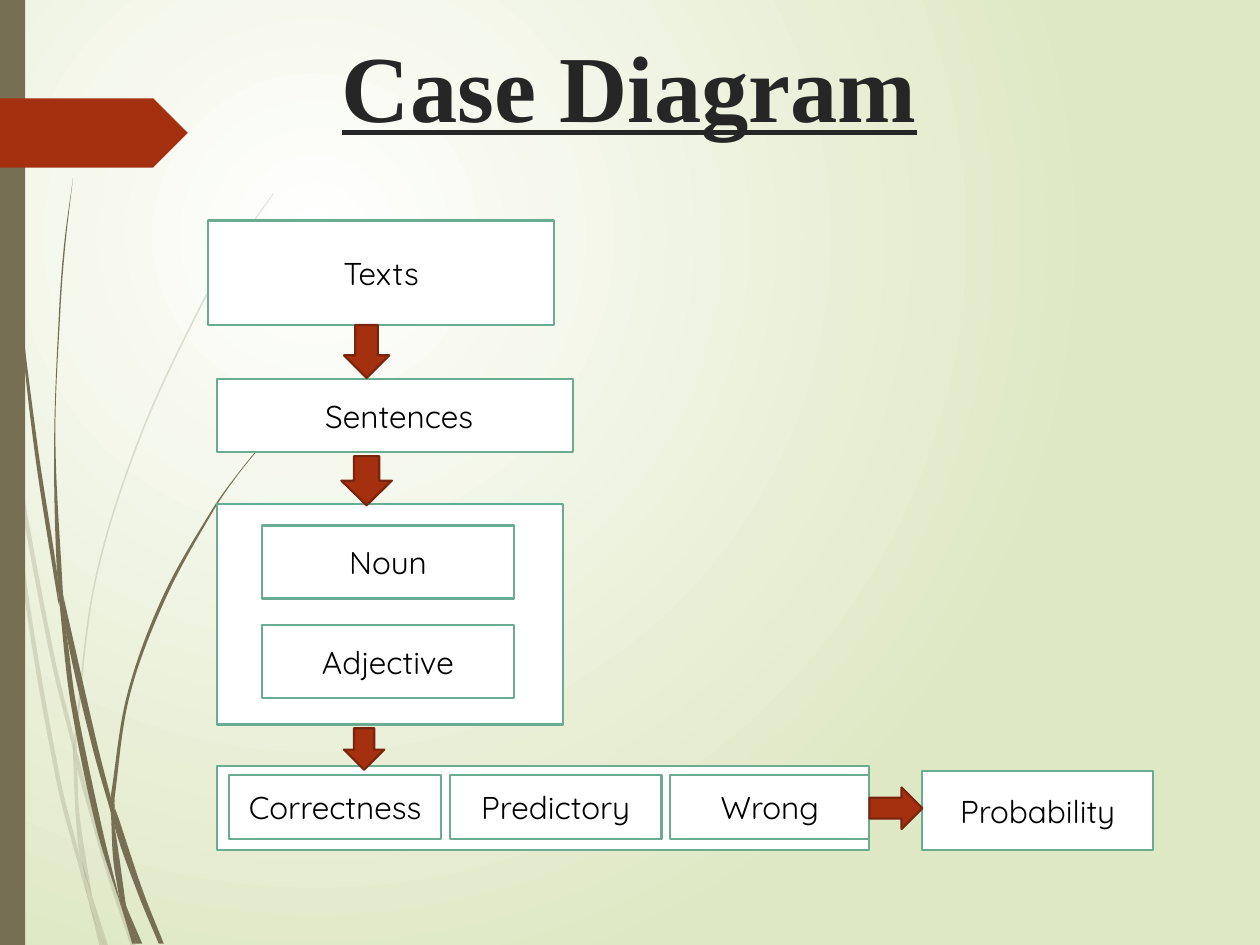
from dataclasses import dataclass
from math import dist

from lxml.etree import SubElement
from pptx import Presentation
from pptx.dml.color import RGBColor
from pptx.enum.shapes import MSO_SHAPE as Preset
from pptx.enum.text import MSO_ANCHOR as Anchor, PP_ALIGN as Align
from pptx.oxml.ns import qn
from pptx.util import Inches, Pt


@dataclass(frozen=True)
class Theme:
    paper: str = "FFFFFF"
    leaf: str = "DFE8C4"
    stem: str = "766F54"
    rust: str = "A53010"
    rust_edge: str = "7A240C"
    box_edge: str = "6AAC91"
    title_ink: str = "262626"
    ink: str = "000000"
    title_font: str = "Times New Roman"
    body_font: str = "Quicksand"
    title_size: int = 54
    body_size: int = 18
    line_width: float = 1.25


THEME = Theme()
WIDTH, HEIGHT = 10, 7.5
TITLE = "Case Diagram"

# Boxes and arrows: left, top, width, height in inches
FLOW_LEFT = 1.72
STEPS = [
    ("Texts", (1.65, 1.75, 2.75, 0.83)),
    (" Sentences", (FLOW_LEFT, 3.01, 2.83, 0.58)),
    ("", (FLOW_LEFT, 4, 2.75, 1.75)),
    ("", (FLOW_LEFT, 6.08, 5.18, 0.67)),
    ("Probability", (7.32, 6.12, 1.83, 0.63)),
]
WORD_CLASSES = ["Noun", "Adjective"]
OUTCOMES = ["Correctness", "Predictory", "Wrong"]
OUTCOMES_RIGHT = 6.9
ARROWS = [
    (Preset.DOWN_ARROW, (2.73, 2.58, 0.36, 0.42)),
    (Preset.DOWN_ARROW, (2.71, 3.62, 0.40, 0.39)),
    (Preset.DOWN_ARROW, (2.73, 5.78, 0.32, 0.33)),
    (Preset.RIGHT_ARROW, (OUTCOMES_RIGHT, 6.25, 0.42, 0.33)),
]

# Each blade of grass is a pair of edges, both running the same way
PALE_BLADES = [
    ([(0, 2.82), (0.06, 3.22), (0.08, 3.5)], [(0, 2.99), (0.07, 3.44), (0.08, 3.5)]),
    ([(0.1, 3.45), (0.43, 5.2), (0.59, 5.86)],
     [(0.12, 3.76), (0.4, 5.22), (0.59, 5.99)]),
    ([(0.61, 5.96), (0.64, 6.07), (0.88, 6.92), (1.08, 7.51)],
     [(0.61, 6.1), (0.85, 6.94), (1.04, 7.51)]),
    ([(0.73, 7.11), (0.86, 7.51)], [(0.73, 7.11), (0.83, 7.51)]),
    ([(0.08, 3.5), (0.12, 3.76), (0.22, 4.69), (0.48, 6.19), (0.64, 6.83), (0.7, 7.14)],
     [(0.08, 3.5), (0.19, 4.7), (0.45, 6.21), (0.64, 6.93), (0.7, 7.14)]),
    ([(0.58, 5.99), (0.61, 6.1), (0.63, 6.46), (0.73, 7.11)],
     [(0.58, 5.99), (0.6, 6.46), (0.64, 6.83), (0.73, 7.11)]),
    ([(2.17, 1.53), (1.86, 1.97), (1.58, 2.44), (1.1, 3.48), (0.75, 4.61), (0.59, 5.84)],
     [(2.17, 1.54), (1.87, 1.98), (1.59, 2.45), (1.11, 3.49), (0.76, 4.62),
      (0.61, 5.84), (0.61, 5.96)]),
    ([(0.7, 7.14), (0.82, 7.51)], [(0.7, 7.14), (0.79, 7.51)]),
    ([(0.59, 5.86), (0.61, 5.96), (0.61, 6.1)], [(0.59, 5.86), (0.58, 5.99), (0.61, 6.08)]),
    ([(0.65, 6.83), (0.73, 7.11), (0.83, 7.51)], [(0.65, 6.83), (0.7, 7.14), (0.82, 7.51)]),
]
DARK_BLADES = [
    ([(0.03, 0), (0.06, 1.09), (0.15, 2.32), (0.3, 3.55), (0.45, 4.53), (0.47, 4.81)],
     [(0.02, 0), (0.05, 1.1), (0.14, 2.33), (0.27, 3.55), (0.46, 4.77), (0.47, 4.81)]),
    ([(0.5, 4.72), (0.77, 5.9), (0.88, 6.33)],
     [(0.5, 4.72), (0.53, 5.05), (0.73, 5.92), (0.88, 6.45)]),
    ([(0.91, 6.41), (0.94, 6.49), (1.13, 7.06), (1.3, 7.49)],
     [(0.91, 6.41), (0.91, 6.56), (1.09, 7.08), (1.26, 7.49)]),
    ([(0.47, 4.77), (0.53, 5.05), (0.6, 5.56), (0.81, 6.57), (0.97, 7.22)],
     [(0.47, 4.77), (0.56, 5.57), (0.77, 6.59), (0.97, 7.22)]),
    ([(0.58, 1.41), (0.52, 1.93), (0.48, 2.45), (0.44, 3.49), (0.5, 4.72)],
     [(0.58, 1.41), (0.51, 1.93), (0.47, 2.45), (0.43, 3.49), (0.45, 4.49), (0.49, 4.72)]),
    ([(1, 7.19), (1.13, 7.49)], [(1, 7.19), (1.1, 7.49)]),
    ([(0.45, 4.49), (0.5, 4.72), (0.53, 5.05)], [(0.45, 4.49), (0.47, 4.77), (0.53, 5.05)]),
    ([(2.15, 3.44), (1.91, 3.73), (1.68, 4.05), (1.29, 4.74), (1.01, 5.51), (0.88, 6.31)],
     [(2.16, 3.44), (1.91, 3.74), (1.69, 4.06), (1.31, 4.76), (1.03, 5.52),
      (0.91, 6.33), (0.91, 6.41)]),
    ([(0.97, 7.22), (1.08, 7.49)], [(0.97, 7.22), (1.05, 7.49)]),
    ([(0.88, 6.45), (0.91, 6.56), (1, 7.19)], [(0.88, 6.45), (0.91, 6.91), (1, 7.19)]),
    ([(0.88, 6.31), (0.91, 6.41), (0.91, 6.56)], [(0.88, 6.31), (0.88, 6.45), (0.91, 6.56)]),
    ([(0.91, 6.91), (0.96, 7.06), (1.1, 7.49)], [(0.91, 6.91), (0.97, 7.22), (1.08, 7.49)]),
]


def rgb(color):
    return RGBColor.from_string(color)


def paint(shape, fill, edge=None):
    shape.shadow.inherit = False
    shape.fill.solid()
    shape.fill.fore_color.rgb = rgb(fill)
    if edge:
        shape.line.color.rgb = rgb(edge)
        shape.line.width = Pt(THEME.line_width)
    else:
        shape.line.fill.background()


def add_preset(slide, preset, place, fill, edge=None):
    shape = slide.shapes.add_shape(preset, *map(Inches, place))
    paint(shape, fill, edge)
    return shape


def style_text(paragraph, font_name, size, color):
    paragraph.alignment = Align.CENTER
    font = paragraph.runs[0].font
    font.name, font.size, font.color.rgb = font_name, Pt(size), rgb(color)
    return font


def add_box(slide, label, place):
    box = add_preset(slide, Preset.RECTANGLE, place, THEME.paper, THEME.box_edge)
    if label:
        box.text_frame.text = label
        box.text_frame.vertical_anchor = Anchor.MIDDLE
        style_text(box.text_frame.paragraphs[0], THEME.body_font, THEME.body_size, THEME.ink)


def bend(nodes):
    """Turn the straight segments between these outline nodes into smooth curves."""
    points = [(int(node[0].get("x")), int(node[0].get("y"))) for node in nodes]
    padded = [points[0], *points, points[-1]]
    for node, a, b, c, d in zip(nodes[1:], padded, padded[1:], padded[2:], padded[3:]):
        reach = dist(b, c) / 3
        controls = [[p + (r - q) * reach / dist(start, end) * way
                     for p, q, r in zip(origin, start, end)]
                    for origin, start, end, way in ((b, a, c, 1), (c, b, d, -1))]
        node.tag = qn("a:cubicBezTo")
        node.remove(node[0])
        for x, y in (*controls, c):
            SubElement(node, qn("a:pt"), x=str(round(x)), y=str(round(y)))


def add_blades(slide, blades, opacity=None):
    group = slide.shapes.add_group_shape()
    for near, far in blades:
        outline = [(Inches(x), Inches(y)) for x, y in near + far[::-1]]
        builder = group.shapes.build_freeform(*outline[0])
        builder.add_line_segments(outline[1:], close=True)
        blade = builder.convert_to_shape()
        paint(blade, THEME.stem)
        nodes = list(blade.element.iter(qn("a:moveTo"), qn("a:lnTo")))
        bend(nodes[len(near):len(outline)])
        bend(nodes[:len(near)])
        if opacity:
            color = blade.element.spPr.find(f"{qn('a:solidFill')}/{qn('a:srgbClr')}")
            SubElement(color, qn("a:alpha"), val=str(opacity * 1000))
    return group


def set_background(slide):
    """Circular gradient centred a quarter of the way in from the top left."""
    fill = slide.background.fill
    fill.gradient()
    for stop, color in zip(fill.gradient_stops, (THEME.paper, THEME.leaf)):
        stop.color.rgb = rgb(color)
    gradient = slide.element.find(f".//{qn('a:gradFill')}")
    gradient.remove(gradient.find(qn("a:lin")))
    circle = SubElement(gradient, qn("a:path"), path="circle")
    SubElement(circle, qn("a:fillToRect"), l="50000", t="50000", r="100000", b="100000")


def decorate_layout(slide):
    """Draw the grass, side bar and pennant, then move them to the slide's layout."""
    ornaments = [
        add_blades(slide, PALE_BLADES, opacity=20),
        add_blades(slide, DARK_BLADES),
        add_preset(slide, Preset.RECTANGLE, (0, 0, 0.2, HEIGHT), THEME.stem),
        add_preset(slide, Preset.PENTAGON, (0, 0.78, 1.49, 0.55), THEME.rust),
    ]
    for ornament in ornaments:
        slide.slide_layout.element.cSld.spTree.append(ornament.element)


def set_title(slide):
    title = slide.shapes.title
    title.left, title.top, title.width, title.height = map(Inches, (1.62, 0.17, 6.75, 2))
    title.text_frame.text = TITLE
    title.text_frame.vertical_anchor = Anchor.TOP
    font = style_text(title.text_frame.paragraphs[0], THEME.title_font, THEME.title_size,
                      THEME.title_ink)
    font.bold = font.underline = True


presentation = Presentation()
presentation.slide_width, presentation.slide_height = Inches(WIDTH), Inches(HEIGHT)
slide = presentation.slides.add_slide(presentation.slide_layouts[5])
set_background(slide)
decorate_layout(slide)
set_title(slide)
for label, place in STEPS:
    add_box(slide, label, place)
for row, label in enumerate(WORD_CLASSES):
    add_box(slide, label, (2.08, 4.17 + 0.79 * row, 2, 0.58))
for column, label in enumerate(OUTCOMES):
    left = 1.82 + 1.75 * column
    add_box(slide, label, (left, 6.15, min(1.68, OUTCOMES_RIGHT - left), 0.51))
for preset, place in ARROWS:
    add_preset(slide, preset, place, THEME.rust, THEME.rust_edge)
presentation.save("out.pptx")
